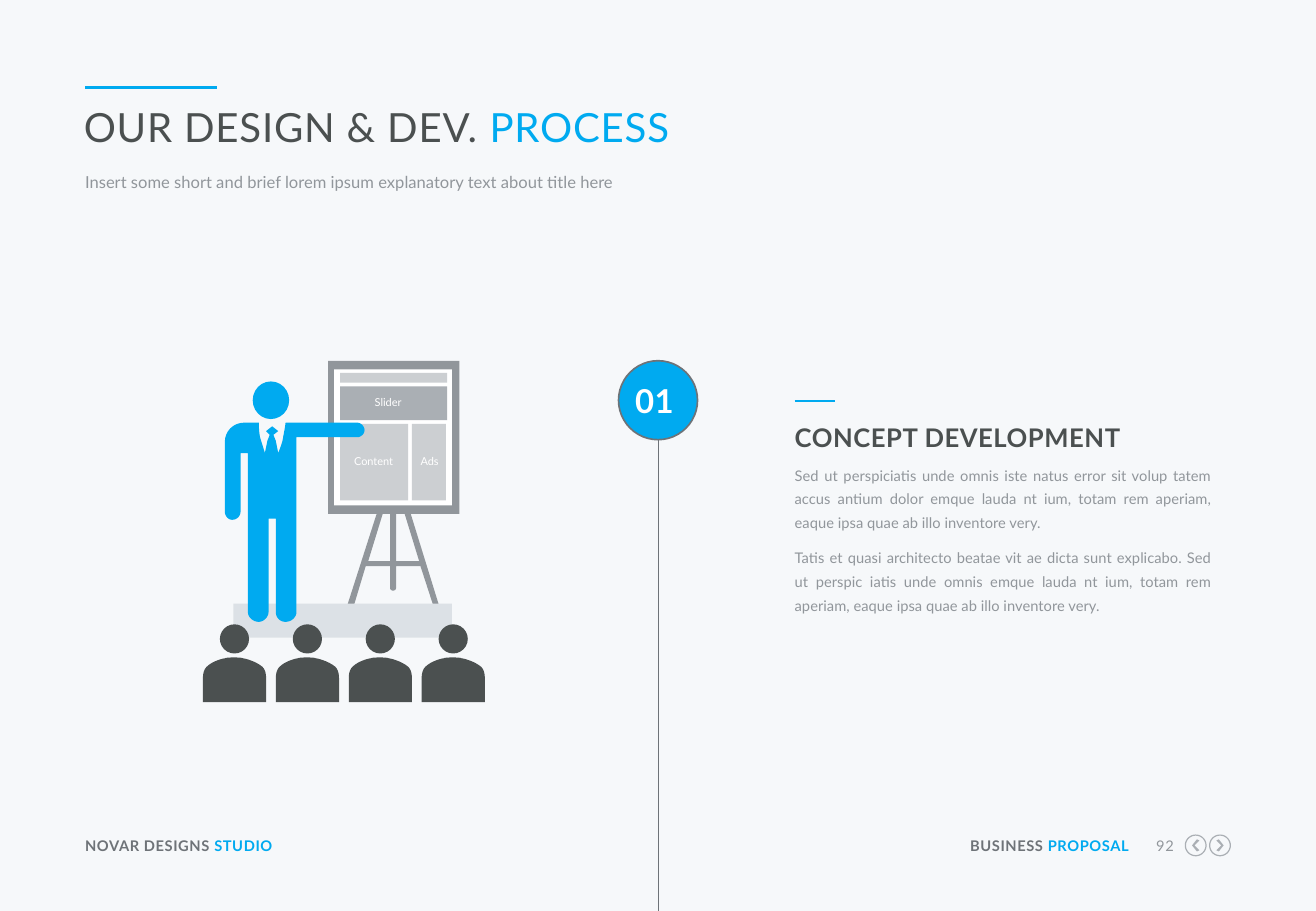
import math
from lxml import etree
from pptx import Presentation
from pptx.dml.color import RGBColor
from pptx.enum.shapes import MSO_CONNECTOR, MSO_SHAPE
from pptx.enum.text import PP_ALIGN
from pptx.oxml.ns import qn
from pptx.util import Inches, Pt

LEFT, CENTER, RIGHT, JUSTIFY = PP_ALIGN.LEFT, PP_ALIGN.CENTER, PP_ALIGN.RIGHT, PP_ALIGN.JUSTIFY
RECT, OVAL, STRAIGHT = MSO_SHAPE.RECTANGLE, MSO_SHAPE.OVAL, MSO_CONNECTOR.STRAIGHT
FONT = "Lato"
COLORS = {
    "paper": "F6F8FA", "blue": "00AAF0", "dark": "4B5050", "slate": "6E7378",
    "gray": "91969B", "silver": "AAAFB4", "light": "CCCFD2", "platform": "DCE1E6",
    "white": "FFFFFF",
}
COLORS = {name: RGBColor.from_string(value) for name, value in COLORS.items()}

prs = Presentation()
prs.slide_width, prs.slide_height = Inches(10.83), Inches(7.5)
slide = prs.slides.add_slide(prs.slide_layouts[6])
slide.background.fill.solid()
slide.background.fill.fore_color.rgb = COLORS["paper"]
shapes = slide.shapes


def add_text(paragraphs, left, top, width, height, size, bold=False, align=LEFT,
             spacing=0, line=None, after=0):
    frame = shapes.add_textbox(Inches(left), Inches(top), Inches(width), Inches(height)).text_frame
    frame.word_wrap = True
    frame.margin_left = frame.margin_right = frame.margin_top = frame.margin_bottom = 0
    for index, runs in enumerate(paragraphs):
        paragraph = frame.add_paragraph() if index else frame.paragraphs[0]
        paragraph.alignment = align
        paragraph.space_after = Pt(after)
        if line:
            paragraph.line_spacing = Pt(line)
        for words, color in runs:
            run = paragraph.add_run()
            run.text = words
            run.font.name, run.font.size, run.font.bold = FONT, Pt(size), bold
            run.font.color.rgb = COLORS[color]
            if spacing:
                run.font._element.set("spc", str(round(spacing * 100)))


def add_outline(contours, color, dx=0):
    builder = None
    for contour in contours:
        points = [contour[0]]
        for step in contour[1:]:
            if len(step) == 2:
                points.append(step)
                continue
            x0, y0 = points[-1]
            x1, y1, x2, y2, x3, y3 = step
            for t in [i / 8 for i in range(1, 9)]:
                a, b, c, d = (1 - t) ** 3, 3 * t * (1 - t) ** 2, 3 * t * t * (1 - t), t ** 3
                points.append((a * x0 + b * x1 + c * x2 + d * x3, a * y0 + b * y1 + c * y2 + d * y3))
        points = [(Inches(x + dx), Inches(y)) for x, y in points]
        if builder is None:
            builder = shapes.build_freeform(*points[0], scale=1.0)
        else:
            builder.move_to(*points[0])
        builder.add_line_segments(points[1:], close=True)
    figure = builder.convert_to_shape()
    figure.shadow.inherit = False
    figure.fill.solid()
    figure.fill.fore_color.rgb = COLORS[color]
    figure.line.fill.background()


for x1, y1, x2, y2, color, weight in [
    (0.7, 0.72, 1.79, 0.72, "blue", 2.25),
    (5.42, 3.62, 5.42, 7.5, "slate", 1),
    (6.54, 3.3, 6.87, 3.3, "blue", 1.5),
]:
    rule = shapes.add_connector(STRAIGHT, Inches(x1), Inches(y1), Inches(x2), Inches(y2))
    rule.line.color.rgb = COLORS[color]
    rule.line.width = Pt(weight)
    etree.SubElement(rule._element.spPr, qn("a:effectLst"))

add_text([[("NOVAR DESIGNS ", "slate"), ("STUDIO", "blue")]],
         0.7, 6.89, 2.11, 0.15, 8.7, bold=True, spacing=0.3)
add_text([[("BUSINESS ", "slate"), ("PROPOSAL", "blue")]],
         7.92, 6.89, 1.37, 0.15, 8.7, bold=True, align=RIGHT, spacing=0.3)
add_text([[("92", "gray")]], 9.41, 6.89, 0.25, 0.15, 8.7, align=RIGHT, spacing=0.3)

angles = [math.radians(step) for step in range(0, 360, 10)]
chevron = [(-0.03, -0.04), (0.01, 0), (-0.03, 0.04), (-0.01, 0.05), (0.03, 0), (-0.01, -0.05)]
for center, direction in [(9.84, -1), (10.04, 1)]:
    rings = [[(center + r * math.cos(a), 6.96 + r * math.sin(a)) for a in angles]
             for r in (0.09, 0.08)]
    add_outline(rings + [[(center + direction * x, 6.96 + y) for x, y in chevron]], "silver")

add_text([[("OUR DESIGN & DEV. ", "dark"), ("PROCESS", "blue")]],
         0.69, 0.84, 9.42, 0.41, 23.8, spacing=0.5)
add_text([[("Insert some short and brief lorem ipsum explanatory text about title here", "gray")]],
         0.7, 1.4, 9.42, 0.21, 9.8, line=13)
add_text([[("CONCEPT DEVELOPMENT", "dark")]],
         6.54, 3.47, 3.44, 0.25, 15.2, bold=True, spacing=0.3, line=18.4)
add_text([
    [("Sed ut perspiciatis unde omnis iste natus error sit volup tatem accus antium dolor emque "
      "lauda nt ium, totam rem aperiam, eaque ipsa quae ab illo inventore very.", "gray")],
    [("Tatis et quasi architecto beatae vit ae dicta sunt explicabo. Sed ut perspic iatis unde "
      "omnis emque lauda nt ium, totam rem aperiam, eaque ipsa quae ab illo inventore very.", "gray")],
], 6.54, 3.79, 3.43, 1.28, 8.7, align=JUSTIFY, line=14.1, after=6.5)

easel = [
    [(2.7, 2.97), (2.7, 4.23), (3.1, 4.23), (2.84, 5.04), (2.83, 5.08, 2.88, 5.09, 2.89, 5.06),
     (3.01, 4.66), (3.21, 4.66), (3.21, 4.84), (3.21, 4.87, 3.26, 4.87, 3.26, 4.84),
     (3.26, 4.66), (3.46, 4.66), (3.59, 5.06), (3.6, 5.09, 3.64, 5.08, 3.63, 5.04),
     (3.38, 4.23), (3.78, 4.23), (3.78, 2.97)],
    [(3.03, 4.62), (3.15, 4.23), (3.21, 4.23), (3.21, 4.62)],
    [(3.45, 4.62), (3.26, 4.62), (3.26, 4.23), (3.33, 4.23)],
]
add_outline(easel, "gray")

step_badge = (OVAL, 5.09, 2.97, 0.65, 0.65, "blue", "slate")
platform = (RECT, 1.92, 4.97, 1.8, 0.28, "platform", None)
board = [
    (RECT, 2.75, 3.04, 0.97, 1.12, "white", None),
    (RECT, 2.8, 3.07, 0.88, 0.08, "light", None),
    (RECT, 2.8, 3.18, 0.88, 0.28, "silver", None),
    (RECT, 3.39, 3.49, 0.28, 0.63, "light", None),
    (RECT, 2.8, 3.49, 0.56, 0.63, "light", None),
]
seats = [0.6 * seat for seat in range(4)]
audience_heads = [(OVAL, 1.81 + seat, 5.14, 0.24, 0.24, "dark", None) for seat in seats]
presenter_head = (OVAL, 2.08, 3.14, 0.3, 0.31, "blue", None)
for kind, left, top, width, height, color, border in [
    step_badge, platform, *board, *audience_heads, presenter_head,
]:
    part = shapes.add_shape(kind, Inches(left), Inches(top), Inches(width), Inches(height))
    part.shadow.inherit = False
    part.fill.solid()
    part.fill.fore_color.rgb = COLORS[color]
    if border:
        part.line.color.rgb = COLORS[border]
        part.line.width = Pt(1)
    else:
        part.line.fill.background()

add_text([[("01", "white")]], 5.19, 3.13, 0.39, 0.33, 19.5, bold=True, align=CENTER, spacing=0.2)
for label, left, top, width in [
    ("Slider", 2.96, 3.26, 0.47), ("Content", 2.84, 3.74, 0.47), ("Ads", 3.39, 3.74, 0.29),
]:
    add_text([[(label, "white")]], left, top, width, 0.11, 6.5, align=CENTER)

shoulders = [(2.19, 5.78), (2.19, 5.59), (2.19, 5.57, 2.19, 5.52, 2.16, 5.49),
             (2.1, 5.44, 2.01, 5.42, 2, 5.42), (1.99, 5.41, 1.86, 5.41, 1.85, 5.42),
             (1.84, 5.42, 1.75, 5.44, 1.7, 5.49), (1.67, 5.52, 1.67, 5.57, 1.67, 5.59),
             (1.67, 5.78)]
for seat in seats:
    add_outline([shoulders], "dark", dx=seat)

presenter = [
    (2.94, 3.48), (2.35, 3.48), (2.35, 3.49, 2.34, 3.55, 2.33, 3.6),
    (2.33, 3.63, 2.29, 3.73, 2.29, 3.73), (2.27, 3.63), (2.25, 3.58), (2.29, 3.55),
    (2.24, 3.51), (2.19, 3.55), (2.22, 3.58), (2.2, 3.63), (2.18, 3.73), (2.14, 3.6),
    (2.13, 3.55, 2.13, 3.49, 2.13, 3.48), (2.01, 3.48), (1.92, 3.48, 1.85, 3.55, 1.85, 3.64),
    (1.85, 4.21), (1.85, 4.25, 1.88, 4.28, 1.91, 4.28), (1.95, 4.28, 1.98, 4.25, 1.98, 4.21),
    (1.98, 3.73), (2.04, 3.73), (2.04, 5.04), (2.04, 5.08, 2.08, 5.12, 2.13, 5.12),
    (2.17, 5.12, 2.21, 5.08, 2.21, 5.04), (2.21, 4.27), (2.27, 4.27), (2.27, 5.04),
    (2.27, 5.08, 2.3, 5.12, 2.35, 5.12), (2.4, 5.12, 2.44, 5.08, 2.44, 5.04), (2.44, 3.6),
    (2.95, 3.6), (2.98, 3.59, 3, 3.57, 3, 3.54), (3, 3.51, 2.97, 3.48, 2.94, 3.48),
]
add_outline([presenter], "blue")

prs.save("out.pptx")
